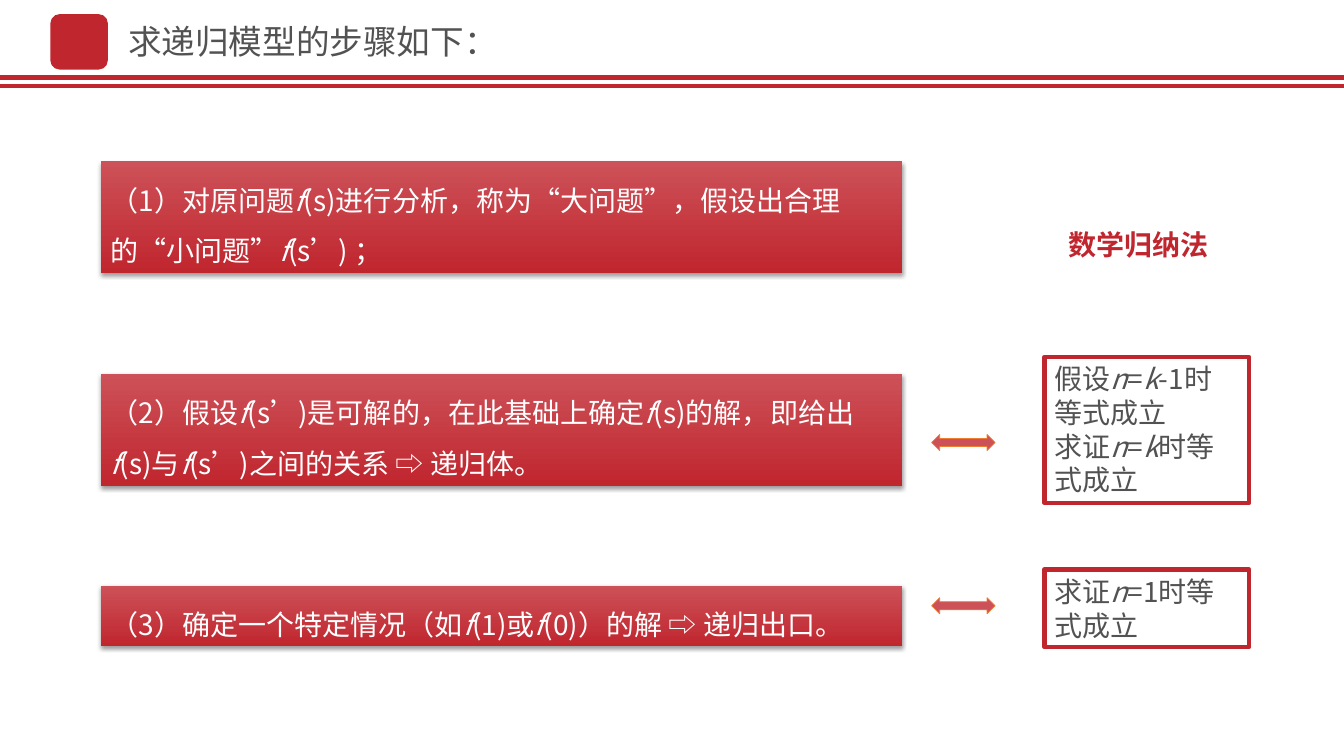
"""Build the slide on the steps for finding a recursive model."""
from dataclasses import dataclass

from lxml import etree
from pptx import Presentation
from pptx.dml.color import RGBColor
from pptx.enum.shapes import MSO_CONNECTOR as Connector, MSO_SHAPE as Shape
from pptx.enum.text import MSO_ANCHOR as Anchor, MSO_AUTO_SIZE as AutoSize, PP_ALIGN as Align
from pptx.oxml.ns import qn
from pptx.util import Pt

TITLE = ("求递归模型的步骤如下：", (117, 16, 387, 50))
HEADING = ("数学归纳法", (1050, 221, 219, 44))
STEPS = [
    ("（1）对原问题*f*(s)进行分析，称为“大问题”，假设出合理的“小问题”*f*(s’) ；", 160, 111),
    ("（2）假设*f*(s’)是可解的，在此基础上确定*f*(s)的解，即给出*f*(s)与*f*(s’)之间的关系 ⇨ 递归体。", 371, 111),
    ("（3）确定一个特定情况（如*f*(1)或*f*(0)）的解 ⇨ 递归出口。", 581, 60),
]
PROOFS = [
    (["假设*n*=*k*-1时等式成立", "求证*n*=*k*时等式成立"], 354, 145),
    (["求证*n*=1时等式成立"], 565, 77),
]
ARROW_TOPS = [431, 593]
RULE_TOPS = [77, 85]
STEP_LEFT, STEP_WIDTH = 100, 795
PROOF_LEFT, PROOF_WIDTH = 1036, 203
ARROW_LEFT, ARROW_WIDTH, ARROW_HEIGHT = 924, 63, 16
LOGO = (50, 14, 57, 55)
PAGE_WIDTH, PAGE_HEIGHT = 1333, 750
SCALE = 9144


@dataclass(frozen=True)
class Theme:
    """Colours, font and type sizes."""
    red: str = "C0262E"
    light_red: str = "CD5158"
    orange: str = "ED7D31"
    grey: str = "525252"
    white: str = "FFFFFF"
    font: str = "Noto Sans CJK SC"
    title: int = 24
    body: int = 20
    rule: float = 3
    arrow_line: float = 0.5


theme = Theme()


def emu(lengths):
    return [length * SCALE for length in lengths]


def colour(value):
    return RGBColor.from_string(value)


def set_line(shape, value, width):
    shape.line.color.rgb = colour(value)
    shape.line.width = Pt(width)


def write(shape, paragraphs, tint, size=theme.body, bold=False, spacing=1.0,
          anchor=Anchor.TOP, wrap=True):
    frame = shape.text_frame
    settings = {"word_wrap": wrap, "auto_size": AutoSize.NONE, "vertical_anchor": anchor}
    for name, value in settings.items():
        setattr(frame, name, value)
    for index, text in enumerate(paragraphs):
        para = frame.add_paragraph() if index else frame.paragraphs[0]
        para.alignment = Align.LEFT
        para.line_spacing = spacing
        for part, words in enumerate(text.split("*")):
            if not words:
                continue
            span = para.add_run()
            span.text = words
            formats = {"name": theme.font, "size": Pt(size), "bold": bold, "italic": part % 2 == 1}
            for name, value in formats.items():
                setattr(span.font, name, value)
            span.font.color.rgb = colour(tint)
            latin = span.font._element.find(qn("a:latin"))
            east_asian = etree.Element(qn("a:ea"), typeface=theme.font)
            latin.addnext(east_asian)


def add_box(page, kind, bounds):
    box = page.shapes.add_shape(kind, *emu(bounds))
    box.shadow.inherit = False
    return box


def add_shadow(box):
    effects = box._element.spPr.find(qn("a:effectLst"))
    shadow = etree.SubElement(effects, qn("a:outerShdw"), blurRad="39370", dist="20320",
                              dir="5400000", rotWithShape="0")
    shade = etree.SubElement(shadow, qn("a:srgbClr"), val="000000")
    etree.SubElement(shade, qn("a:alpha"), val="38000")


def add_rule(page, top):
    rule = page.shapes.add_connector(Connector.STRAIGHT, *emu((0, top, PAGE_WIDTH, top)))
    set_line(rule, theme.red, theme.rule)
    etree.SubElement(rule._element.spPr, qn("a:effectLst"))


def add_step(page, text, top, height):
    box = add_box(page, Shape.RECTANGLE, (STEP_LEFT, top, STEP_WIDTH, height))
    box.line.fill.background()
    box.fill.gradient()
    box.fill.gradient_angle = 270
    for stop, value in zip(box.fill.gradient_stops, (theme.light_red, theme.red)):
        stop.color.rgb = colour(value)
    add_shadow(box)
    write(box, [text], theme.white, spacing=1.5)


def add_proof(page, paragraphs, top, height):
    box = add_box(page, Shape.RECTANGLE, (PROOF_LEFT, top, PROOF_WIDTH, height))
    box.fill.background()
    set_line(box, theme.red, theme.rule)
    write(box, paragraphs, theme.grey)


def add_arrow(page, top):
    arrow = add_box(page, Shape.LEFT_RIGHT_ARROW, (ARROW_LEFT, top, ARROW_WIDTH, ARROW_HEIGHT))
    arrow.fill.solid()
    arrow.fill.fore_color.rgb = colour(theme.light_red)
    set_line(arrow, theme.orange, theme.arrow_line)


def main():
    deck = Presentation()
    deck.slide_width, deck.slide_height = emu((PAGE_WIDTH, PAGE_HEIGHT))
    page = deck.slides.add_slide(deck.slide_layouts[5])

    words, bounds = TITLE
    title = page.shapes.title
    for name, value in zip(("left", "top", "width", "height"), emu(bounds)):
        setattr(title, name, value)
    write(title, [words], theme.grey, theme.title, anchor=Anchor.MIDDLE, wrap=False)

    for top in RULE_TOPS:
        add_rule(page, top)
    logo = add_box(page, Shape.ROUNDED_RECTANGLE, LOGO)
    logo.fill.solid()
    logo.fill.fore_color.rgb = colour(theme.red)
    logo.line.fill.background()

    for step in STEPS:
        add_step(page, *step)
    words, bounds = HEADING
    write(page.shapes.add_textbox(*emu(bounds)), [words], theme.red, bold=True)
    for proof in PROOFS:
        add_proof(page, *proof)
    for top in ARROW_TOPS:
        add_arrow(page, top)
    deck.save("out.pptx")


if __name__ == "__main__":
    main()
